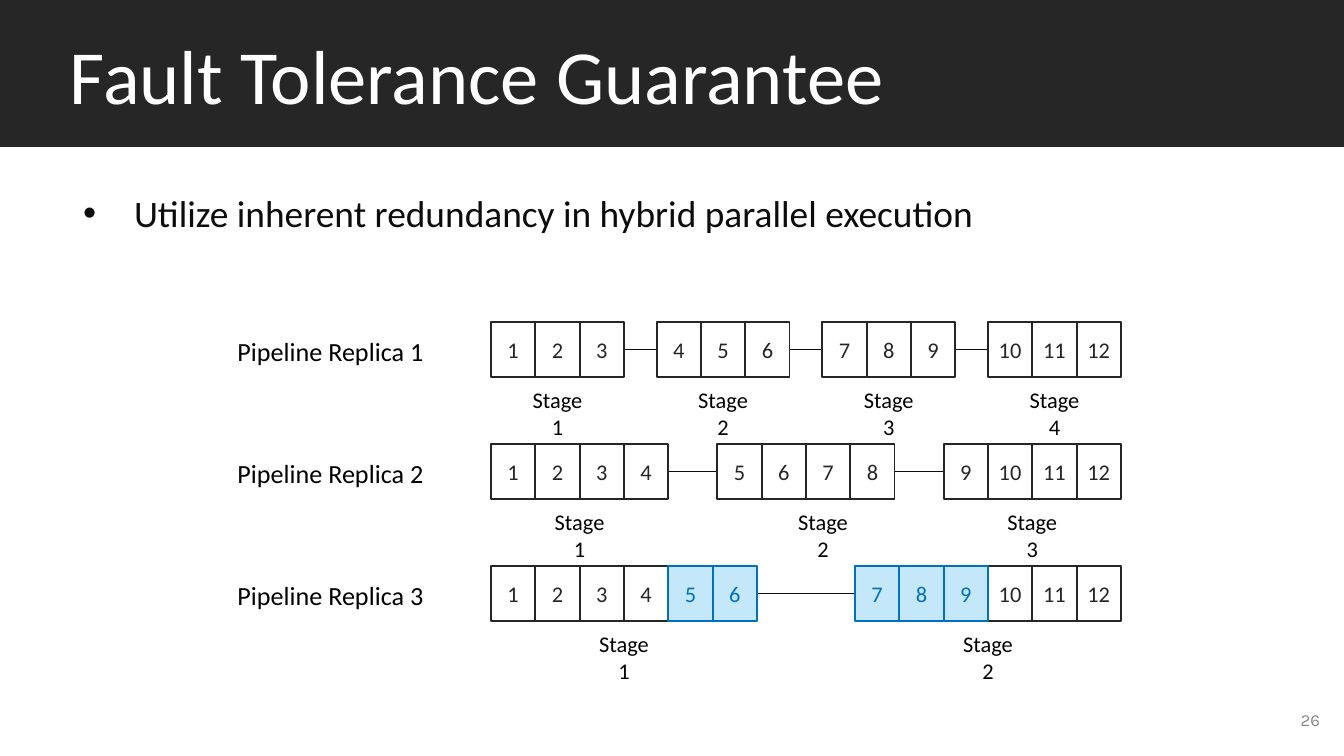
from lxml import etree
from pptx import Presentation
from pptx.dml.color import RGBColor
from pptx.enum.shapes import MSO_CONNECTOR, MSO_SHAPE
from pptx.enum.text import MSO_ANCHOR, PP_ALIGN
from pptx.oxml.ns import qn
from pptx.util import Pt

RECT, STRAIGHT = MSO_SHAPE.RECTANGLE, MSO_CONNECTOR.STRAIGHT
TOP, MIDDLE = MSO_ANCHOR.TOP, MSO_ANCHOR.MIDDLE
LEFT, CENTER, RIGHT = PP_ALIGN.LEFT, PP_ALIGN.CENTER, PP_ALIGN.RIGHT

COLORS = {"dark": "262626", "ink": "0C0C0C", "black": "000000", "white": "FFFFFF",
          "gray": "888888", "blue": "0070C0", "light_blue": "C4E7FA"}


def px(length):
    return round(length * 914400 / 134.4)


class Deck:
    font = "Calibri"

    def __init__(self, slide):
        self.slide = slide

    def color(self, name):
        return RGBColor.from_string(COLORS[name])

    def set_text(self, shape, text, size, color, align, anchor, insets, wrap, font=None):
        frame = shape.text_frame
        frame.text = text
        frame.word_wrap = wrap
        frame.vertical_anchor = anchor
        (frame.margin_left, frame.margin_top,
         frame.margin_right, frame.margin_bottom) = map(px, insets)
        paragraph = frame.paragraphs[0]
        paragraph.alignment = align
        run_font = paragraph.runs[0].font
        run_font.name = font or self.font
        run_font.size = Pt(size)
        run_font.color.rgb = self.color(color)
        return paragraph

    def text(self, x, y, w, h, text, size, color="black", align=CENTER, anchor=TOP,
             insets=(13, 7, 13, 7), wrap=True, font=None):
        box = self.slide.shapes.add_textbox(px(x), px(y), px(w), px(h))
        return self.set_text(box, text, size, color, align, anchor, insets, wrap, font)

    def bullet(self, x, y, w, h, text, size, color):
        paragraph = self.text(x, y, w, h, text, size, color, LEFT, insets=(9, 9, 9, 9))
        paragraph.space_after = Pt(10)
        props = paragraph._p.get_or_add_pPr()
        props.set("marL", str(px(62)))
        props.set("indent", str(px(-51)))
        etree.SubElement(props, qn("a:buFont")).set("typeface", "Arial")
        etree.SubElement(props, qn("a:buChar")).set("char", "•")

    def box(self, x, y, w, h, text, size, fill, color, line=None, align=CENTER,
            insets=(13, 7, 13, 7), wrap=False):
        shape = self.slide.shapes.add_shape(RECT, px(x), px(y), px(w), px(h))
        shape.shadow.inherit = False
        shape.fill.solid()
        shape.fill.fore_color.rgb = self.color(fill)
        if line:
            shape.line.color.rgb = self.color(line)
            shape.line.width = Pt(1)
        else:
            shape.line.fill.background()
        self.set_text(shape, text, size, color, align, MIDDLE, insets, wrap)

    def link(self, x1, x2, y):
        line = self.slide.shapes.add_connector(STRAIGHT, px(x1), px(y), px(x2), px(y))
        line.line.color.rgb = self.color("ink")
        line.line.width = Pt(0.75)
        etree.SubElement(line._element.spPr, qn("a:effectLst"))


# Each replica splits the same 12 layers evenly into stages
LAYERS = 12
STAGE_COUNTS = (4, 3, 2)
REDUNDANT = {3: range(5, 10)}      # replica: highlighted layers
LABEL_SHIFT = {(2, 2): 17}         # (replica, stage): label offset
ROW_LEFT, ROW_TOP, ROW_PITCH = 491, 322, 122
LAYER_W, LAYER_H = 532 / LAYERS, 55
FREE_W = 98                        # shared out between the stages
LABEL_W = 93


def draw_replica(deck, replica, stages):
    top = ROW_TOP + (replica - 1) * ROW_PITCH
    per_stage = LAYERS // stages
    stage_w = per_stage * LAYER_W
    gap = FREE_W / (stages - 1)
    redundant = REDUNDANT.get(replica, ())
    deck.text(223, top + 6, 215, 46, f"Pipeline Replica {replica}", 14, wrap=False)

    # Links and stage labels
    for stage in range(stages):
        left = ROW_LEFT + stage * (stage_w + gap)
        if stage:
            deck.link(left - gap, left, top + LAYER_H / 2)
        label_left = left + (stage_w - LABEL_W) / 2 + LABEL_SHIFT.get((replica, stage + 1), 0)
        deck.text(label_left, top + 57, LABEL_W, 40, f"Stage {stage + 1}", 12,
                  insets=(17, 7, 17, 7))

    # Layers, redundant ones on top
    for layer in sorted(range(1, LAYERS + 1), key=lambda number: number in redundant):
        left = ROW_LEFT + (layer - 1) * LAYER_W + (layer - 1) // per_stage * gap
        fill, ink = ("light_blue", "blue") if layer in redundant else ("white", "dark")
        deck.box(left, top, LAYER_W, LAYER_H, str(layer), 12, fill, ink, line=ink)


def main():
    presentation = Presentation()
    presentation.slide_width, presentation.slide_height = px(1344), px(756)
    deck = Deck(presentation.slides.add_slide(presentation.slide_layouts[6]))

    # Title band, statement and page number
    deck.box(0, 0, 1344, 147, "Fault Tolerance Guarantee", 41, "dark", "white",
             align=LEFT, insets=(70, 5, 9, 5), wrap=True)
    deck.bullet(63, 181, 1216, 509,
                "Utilize inherent redundancy in hybrid parallel execution", 20, "ink")
    deck.text(1016, 700, 313, 40, "26", 9, "gray", RIGHT, MIDDLE, (9, 5, 9, 5), font="Karla")

    # Pipeline replicas
    for replica, stages in enumerate(STAGE_COUNTS, 1):
        draw_replica(deck, replica, stages)

    presentation.save("out.pptx")


if __name__ == "__main__":
    main()
